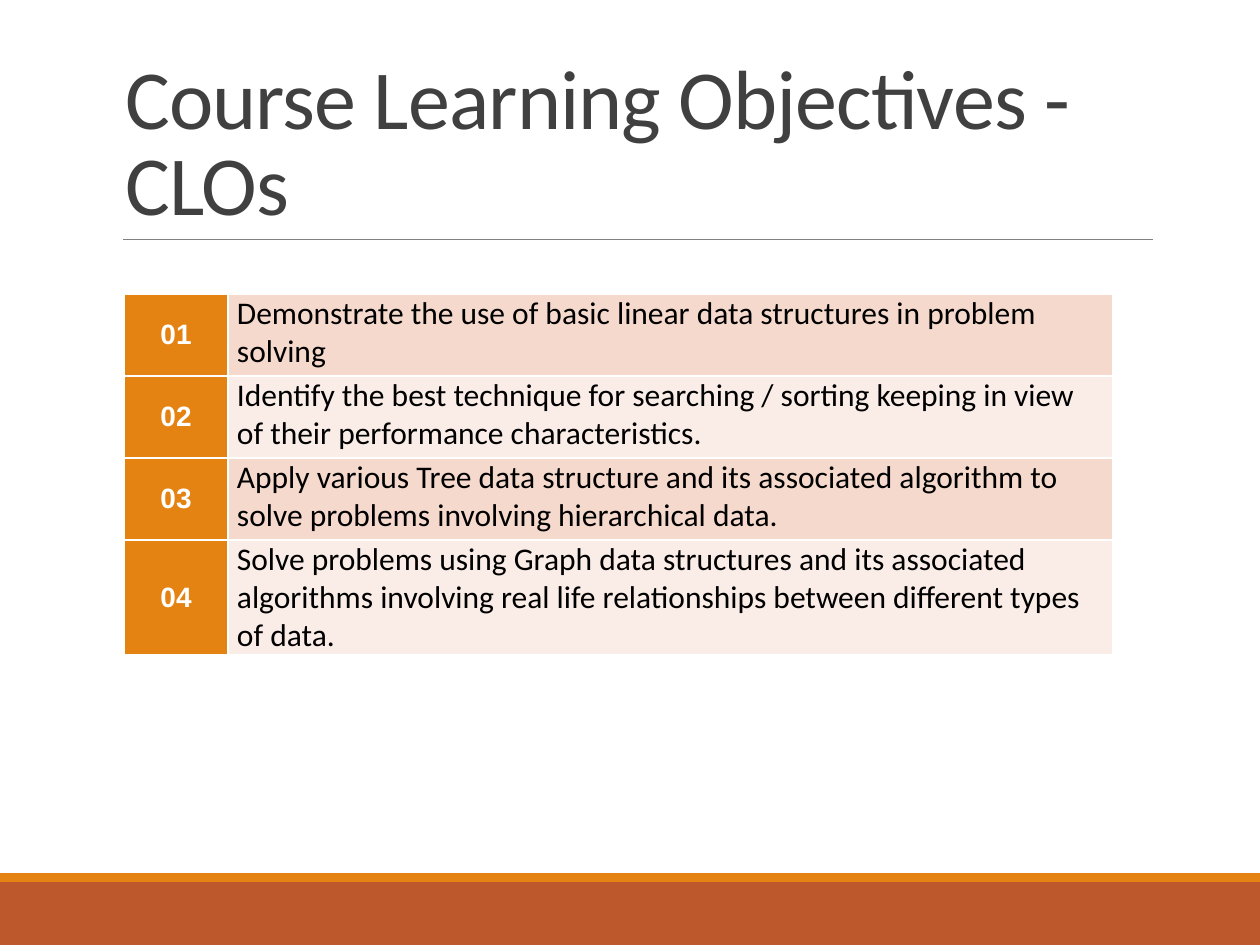
from lxml.etree import SubElement
from pptx import Presentation
from pptx.dml.color import RGBColor
from pptx.enum.shapes import MSO_CONNECTOR, MSO_SHAPE
from pptx.enum.text import MSO_ANCHOR, PP_ALIGN
from pptx.oxml.ns import qn
from pptx.util import Emu, Pt

W, H = 1260, 945
ORANGE, RUST, WHITE = "E48312", "BD582C", "FFFFFF"
BANDS = ("F5D9CC", "FAEDE7")
OBJECTIVES = [
    "Demonstrate the use of basic linear data structures in problem solving",
    "Identify the best technique for searching / sorting keeping in view of their "
    "performance characteristics.",
    "Apply various Tree data structure and its associated algorithm to solve problems "
    "involving hierarchical data.",
    "Solve problems using Graph data structures and its associated algorithms involving "
    "real life relationships between different types of data.",
]


def px(n):
    return Emu(round(n * 914400 / 126))


def rgb(value):
    return RGBColor.from_string(value)


def put_text(tf, text, size=18, color="000000", font="Calibri", bold=False,
             align=PP_ALIGN.LEFT, line=None, spacing=None):
    p = tf.paragraphs[0]
    p.alignment = align
    if line:
        p.line_spacing = line
    r = p.add_run()
    r.text = text
    r.font.size, r.font.name, r.font.bold = Pt(size), font, bold
    r.font.color.rgb = rgb(color)
    if spacing:
        r.font._element.set("spc", str(round(spacing * 100)))


def add_bar(s, x, y, w, h, color):
    sp = s.shapes.add_shape(MSO_SHAPE.RECTANGLE, px(x), px(y), px(w), px(h))
    sp.shadow.inherit = False
    sp.fill.solid()
    sp.fill.fore_color.rgb = rgb(color)
    sp.line.fill.background()


def add_footer(s, x, y, w, h):
    stripe = 9
    add_bar(s, x, y + stripe, w, h - stripe, RUST)
    add_bar(s, x, y, w, stripe, ORANGE)


def add_title(s, x, y, w, h, text):
    rule = s.shapes.add_connector(MSO_CONNECTOR.STRAIGHT,
                                  px(x + 10), px(y + h), px(x + w), px(y + h))
    rule.line.color.rgb = rgb("808080")
    rule.line.width = Pt(0.5)
    SubElement(rule._element.spPr, qn("a:effectLst"))
    tf = s.shapes.add_textbox(px(x), px(y), px(w), px(h)).text_frame
    tf.word_wrap = True
    tf.vertical_anchor = MSO_ANCHOR.BOTTOM
    put_text(tf, text, size=48, color="404040", line=0.85, spacing=-0.5)


def style_cell(cell, fill, anchor):
    cell.margin_left = cell.margin_right = px(9)
    cell.margin_top = cell.margin_bottom = 0
    cell.vertical_anchor = anchor
    pr = cell._tc.get_or_add_tcPr()
    for side in ("lnL", "lnR", "lnT", "lnB"):
        ln = SubElement(pr, qn(f"a:{side}"), w=str(Pt(1)))
        SubElement(SubElement(ln, qn("a:solidFill")), qn("a:srgbClr"), val=WHITE)
    cell.fill.solid()
    cell.fill.fore_color.rgb = rgb(fill)


def add_objectives(s, x, y, w, h, items):
    number_w, row_h = 104, 82
    table = s.shapes.add_table(len(items), 2, px(x), px(y), px(w), px(h)).table
    table.first_row = table.horz_banding = False
    table.columns[0].width, table.columns[1].width = px(number_w), px(w - number_w)
    for i, item in enumerate(items):
        last = i == len(items) - 1
        table.rows[i].height = px(h - i * row_h if last else row_h)
        number, body = table.cell(i, 0), table.cell(i, 1)
        style_cell(number, ORANGE, MSO_ANCHOR.MIDDLE)
        style_cell(body, BANDS[i % 2], MSO_ANCHOR.TOP)
        put_text(number.text_frame, f"{i + 1:02}", size=16, color=WHITE, font="Arial",
                 bold=True, align=PP_ALIGN.CENTER)
        put_text(body.text_frame, item)


def main():
    prs = Presentation()
    prs.slide_width, prs.slide_height = px(W), px(H)
    s = prs.slides.add_slide(prs.slide_layouts[6])
    add_footer(s, 0, 873, W, H - 873)
    add_title(s, 113, 39, 1040, 200, "Course Learning Objectives - CLOs")
    add_objectives(s, 124, 294, 989, 361, OBJECTIVES)
    prs.save("out.pptx")


if __name__ == "__main__":
    main()
